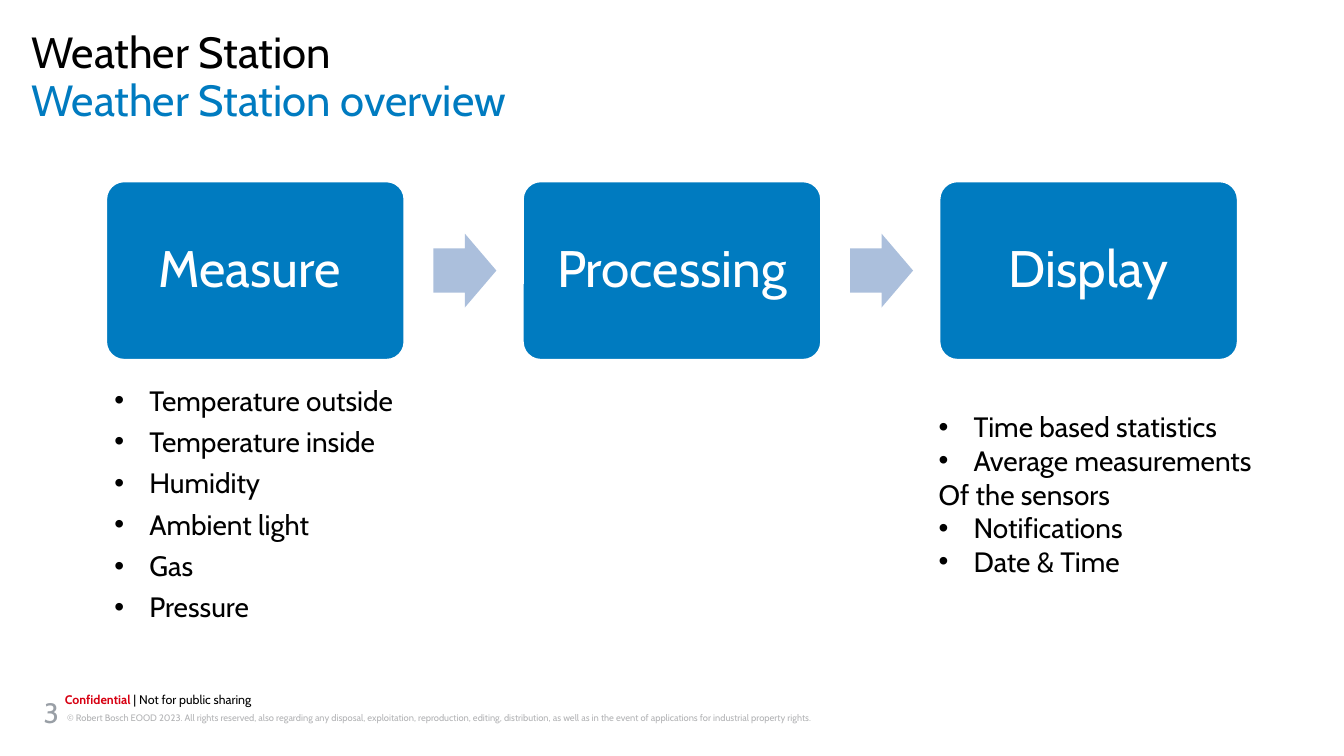
from lxml import etree
from pptx import Presentation
from pptx.dml.color import RGBColor
from pptx.enum import shapes, text
from pptx.oxml import ns
from pptx.util import Pt

FONT = "Cabin"
BLUE = "007BC0"
BLACK = "000000"
STAGES = ["Measure ", "Processing", "Display"]
MEASUREMENTS = ["Temperature outside", "Temperature inside", "Humidity",
                "Ambient light", "Gas", "Pressure"]
OUTPUTS = ["Time based statistics", "Average measurements", "Of the sensors",
           "Notifications", "Date & Time"]
COPYRIGHT = ("© Robert Bosch EOOD 2023. All rights reserved, also regarding any disposal, "
             "exploitation, reproduction, editing, distribution, as well as in the event of "
             "applications for industrial property rights.")


def color(value):
    """Turn a hex string into a colour."""
    return RGBColor.from_string(value)


def style(span, size, value, bold=False):
    """Format one run."""
    span.font.name = FONT
    span.font.size = Pt(size)
    span.font.bold = bold
    span.font.color.rgb = color(value)


def set_insets(frame, across, down):
    """Set the horizontal and vertical insets of a text frame."""
    frame.margin_left = frame.margin_right = Pt(across)
    frame.margin_top = frame.margin_bottom = Pt(down)


def add_text(page, box, lines, size, value, spacing=1.0, insets=(0, 0)):
    """Add a text box with one paragraph for each line and return its frame."""
    frame = page.shapes.add_textbox(*map(Pt, box)).text_frame
    frame.word_wrap = True
    set_insets(frame, *insets)
    frame.text = "\n".join(lines)
    for para in frame.paragraphs:
        para.line_spacing = spacing
        for span in para.runs:
            style(span, size, value)
    return frame


def add_bullet(para, indent):
    """Give a paragraph a round bullet with a hanging indent."""
    properties = para._p.get_or_add_pPr()
    properties.set("marL", str(Pt(indent)))
    properties.set("indent", str(Pt(-indent)))
    etree.SubElement(properties, ns.qn("a:buFont")).set("typeface", "Arial")
    etree.SubElement(properties, ns.qn("a:buChar")).set("char", "•")


def add_list(page, box, items, gap=0, plain=()):
    """Add a bulleted list, leaving the plain items without a bullet."""
    frame = add_text(page, box, items, 18, BLACK)
    for index, para in enumerate(frame.paragraphs):
        if para.text not in plain:
            add_bullet(para, 22.5)
        if index and gap:
            para.space_before = Pt(gap)


def add_block(page, kind, box, fill, adjustments):
    """Add a flat filled shape without an outline."""
    block = page.shapes.add_shape(kind, *map(Pt, box))
    block.shadow.inherit = False
    block.fill.solid()
    block.fill.fore_color.rgb = color(fill)
    block.line.fill.background()
    for index, value in enumerate(adjustments):
        block.adjustments[index] = value
    return block


def add_stage(page, box, label):
    """Add one labelled stage of the process."""
    stage = add_block(page, shapes.MSO_SHAPE.ROUNDED_RECTANGLE, box, BLUE, [0.1])
    stage.line.color.rgb = color("FFFFFF")
    stage.line.width = Pt(1)
    frame = stage.text_frame
    frame.word_wrap = True
    frame.vertical_anchor = text.MSO_ANCHOR.MIDDLE
    set_insets(frame, 13.7, 13.7)
    frame.text = label
    para = frame.paragraphs[0]
    para.alignment = text.PP_ALIGN.CENTER
    para.line_spacing = 0.9
    style(para.runs[0], 33, "FFFFFF")


def add_process(page, box):
    """Lay the stages out evenly in the box with an arrow in each gap."""
    left, top, width, height = box
    stage_width, arrow_width, arrow_height = 191.5, 40.5, 47.5
    step = (width - stage_width) / (len(STAGES) - 1)
    for index, label in enumerate(STAGES):
        x = left + index * step
        add_stage(page, (x, top, stage_width, height), label)
        if index < len(STAGES) - 1:
            arrow = (x + stage_width + 18.7, top + (height - arrow_height) / 2,
                     arrow_width, arrow_height)
            add_block(page, shapes.MSO_SHAPE.RIGHT_ARROW, arrow, "ABBFDC", [0.6, 0.5])


def add_heading(page, box):
    """Add the two heading lines, each in half of the box."""
    left, top, width, height = box
    half = height / 2
    for index, (line, value) in enumerate([("Weather Station", BLACK),
                                           ("Weather Station overview", BLUE)]):
        add_text(page, (left, top + index * half, width, half), [line], 28, value, 0.89)


def add_footer(page, box):
    """Add the page number, the confidentiality note and the copyright line."""
    left, top, width, height = box
    add_text(page, (left + 22.3, top + 15.8, width - 22.3, 17.3), [COPYRIGHT], 6, "B2B3B5", 1.2)
    note = add_text(page, (left + 13.7, top, 334, 16.6), ["Confidential"], 8, "D70012",
                    1.07, (7.2, 3.6))
    para = note.paragraphs[0]
    para.runs[0].font.bold = True
    span = para.add_run()
    span.text = " | Not for public sharing"
    style(span, 8, BLACK)
    add_text(page, (left, top + 2.9, 23, height - 2.9), ["3"], 18, "999FA6", 1.0, (7.2, 3.6))


def main():
    """Build the deck and save it."""
    deck = Presentation()
    deck.slide_width, deck.slide_height = Pt(864), Pt(486)
    page = deck.slides.add_slide(deck.slide_layouts[6])
    add_heading(page, (20.2, 20.2, 823, 62))
    add_process(page, (68.4, 116.7, 727.2, 114.5))
    add_list(page, (73.5, 246.3, 331, 160), MEASUREMENTS, gap=5)
    add_list(page, (603.4, 263.5, 240, 180), OUTPUTS, plain=["Of the sensors"])
    add_footer(page, (20.9, 440.7, 741, 35.3))
    deck.save("out.pptx")


if __name__ == "__main__":
    main()
